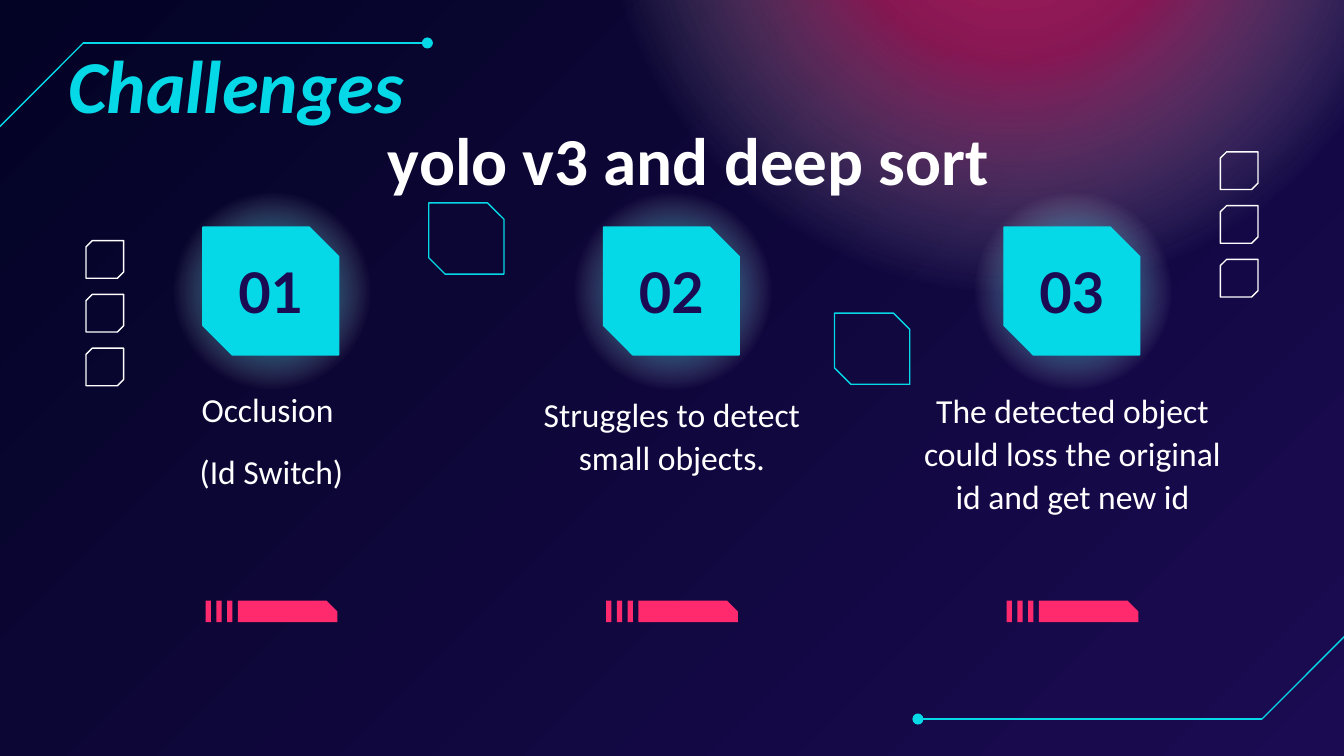
"""Build the "Challenges" slide and save it to out.pptx."""
from dataclasses import dataclass
from typing import Any, Optional

import lxml.etree
import pptx
import pptx.dml.color
import pptx.enum.shapes
import pptx.enum.text
import pptx.oxml
import pptx.oxml.ns
import pptx.util

Inches = pptx.util.Inches
Pt = pptx.util.Pt
RGBColor = pptx.dml.color.RGBColor
Kind = pptx.enum.shapes.MSO_SHAPE
Anchor = pptx.enum.text.MSO_ANCHOR
qn = pptx.oxml.ns.qn

NIGHT = RGBColor(0x03, 0x03, 0x25)
INDIGO = RGBColor(0x1B, 0x0B, 0x52)
CYAN = RGBColor(0x05, 0xD8, 0xE7)
PINK = RGBColor(0xFF, 0x29, 0x6D)
WHITE = RGBColor(0xFF, 0xFF, 0xFF)

STEP = 2.98
NUMBER = {"name": "Lato", "size": Pt(30), "bold": True}
HEAD = {"name": "Calibri", "size": Pt(40), "bold": True, "italic": True}
TITLE = {"name": "Calibri", "size": Pt(36), "bold": True}
BODY = {"name": "Calibri", "size": Pt(18)}


@dataclass
class Box:
    left: float
    top: float
    width: float
    height: float

    def emu(self) -> list[int]:
        return [Inches(v) for v in (self.left, self.top, self.width, self.height)]


@dataclass
class Item:
    label: str
    lines: list[str]
    top: float
    height: float
    space: Optional[float] = None


ITEMS = [
    Item("01", ["Occlusion ", "(Id Switch)"], 2.79, 1.52),
    Item("02", ["Struggles to detect small objects."], 2.81, 1.47, 1.07),
    Item("03", ["The detected object could loss the original id and get new id"],
         2.78, 1.51, 1.07),
]


def shape(group: Any, kind: Any, box: Box, fill: Optional[RGBColor] = None,
          line: Optional[RGBColor] = None, cuts: tuple = ()) -> Any:
    """Add a preset shape with a plain fill and outline."""
    item = group.add_shape(kind, *box.emu())
    item.shadow.inherit = False
    if fill is None:
        item.fill.background()
    else:
        item.fill.solid()
        item.fill.fore_color.rgb = fill
    if line is None:
        item.line.fill.background()
    else:
        item.line.color.rgb = line
        item.line.width = Pt(0.75)
    for i, cut in enumerate(cuts):
        item.adjustments[i] = cut
    return item


def glow(group: Any, box: Box, color: RGBColor, core: int, mid: int) -> None:
    """Add a circle that fades out from its centre."""
    disc = shape(group, Kind.OVAL, box)
    stops = "".join(
        f'<a:gs pos="{pos * 1000}"><a:srgbClr val="{tint}">'
        f'<a:alpha val="{alpha * 1000}"/></a:srgbClr></a:gs>'
        for pos, tint, alpha in
        ((0, color, core), (30, color, mid), (69, WHITE, 0), (100, WHITE, 0)))
    fade = pptx.oxml.parse_xml(
        f'<a:gradFill {pptx.oxml.ns.nsdecls("a")} rotWithShape="1">'
        f'<a:gsLst>{stops}</a:gsLst><a:path path="circle">'
        '<a:fillToRect l="50000" t="50000" r="50000" b="50000"/></a:path></a:gradFill>')
    props = disc.element.spPr
    props.replace(props.find(qn("a:noFill")), fade)


def trace(shapes: Any, points: list[tuple[float, float]]) -> None:
    """Add a grouped run of lines that ends in a dot."""
    group = shapes.add_group_shape().shapes
    for start, end in zip(points, points[1:]):
        link = group.add_connector(pptx.enum.shapes.MSO_CONNECTOR.STRAIGHT,
                                   *map(Inches, start + end))
        link.line.color.rgb = CYAN
        link.line.width = Pt(0.75)
        props = link.element.spPr
        if end == points[-1]:
            lxml.etree.SubElement(props.find(qn("a:ln")), qn("a:tailEnd"), type="oval")
        lxml.etree.SubElement(props, qn("a:effectLst"))


def text(shapes: Any, box: Box, lines: list[str], style: dict, color: RGBColor,
         anchor: Any = Anchor.TOP, space: Optional[float] = None) -> Any:
    """Add a centred text box and return its frame."""
    frame = shapes.add_textbox(*box.emu()).text_frame
    format = {"word_wrap": True, "vertical_anchor": anchor}
    format |= {f"margin_{side}": Inches(0.1) for side in ("left", "top", "right", "bottom")}
    for name, value in format.items():
        setattr(frame, name, value)
    for i, line in enumerate(lines):
        para = frame.add_paragraph() if i else frame.paragraphs[0]
        para.alignment = pptx.enum.text.PP_ALIGN.CENTER
        if space:
            para.line_spacing = space
        if i:
            para.space_before = para.space_after = Pt(12)
        run = para.add_run()
        run.text = line
        run.font.color.rgb = color
        for name, value in style.items():
            setattr(run.font, name, value)
    return frame


def bar(shapes: Any, left: float) -> None:
    """Add a snipped bar led by three ticks."""
    group = shapes.add_group_shape().shapes
    shape(group, Kind.SNIP_1_RECTANGLE, Box(left + 0.24, 4.47, 0.74, 0.16), PINK, cuts=(0.5,))
    for i in range(3):
        shape(group, Kind.RECTANGLE, Box(left + 0.08 * i, 4.47, 0.04, 0.16), PINK)


def stack(shapes: Any, left: float, top: float) -> None:
    """Add a column of three hollow squares."""
    group = shapes.add_group_shape().shapes
    for i in range(3):
        tile = shape(group, Kind.SNIP_2_DIAG_RECTANGLE,
                     Box(left, top + 0.4 * i, 0.28, 0.28), line=WHITE, cuts=(0, 0.167))
        tile.rotation = 90


def main() -> None:
    """Draw the slide."""
    deck = pptx.Presentation()
    deck.slide_width = Inches(10)
    deck.slide_height = deck.slide_width * 9 // 16
    slide = deck.slides.add_slide(deck.slide_layouts[6])
    shapes = slide.shapes

    back = slide.background.fill
    back.gradient()
    back.gradient_angle = 315
    for stop, color, place in zip(back.gradient_stops, (NIGHT, INDIGO), (0, 1)):
        stop.color.rgb = color
        stop.position = place

    glow(shapes, Box(4.41, -3.99, 6.25, 6.25), PINK, 66, 49)
    trace(shapes, [(-0.01, 0.95), (0.62, 0.32), (3.18, 0.32)])
    trace(shapes, [(10.02, 4.72), (9.39, 5.35), (6.83, 5.35)])

    for i, item in enumerate(ITEMS):
        left = 1.27 + STEP * i
        glow(shapes, Box(left, 1.41, 1.51, 1.51), CYAN, 70, 47)
        shape(shapes, Kind.SNIP_2_DIAG_RECTANGLE, Box(left + 0.24, 1.69, 1.01, 0.95),
              CYAN, CYAN, (0, 0.23))
        text(shapes, Box(left + 0.32, 1.9, 0.85, 0.53), [item.label], NUMBER, INDIGO,
             Anchor.MIDDLE)
        text(shapes, Box(left - 0.49, item.top, 2.48, item.height), item.lines, BODY, WHITE,
             space=item.space)
        bar(shapes, left + 0.26)

    for left, top in ((3.19, 1.51), (6.21, 2.33)):
        shape(shapes, Kind.SNIP_2_DIAG_RECTANGLE, Box(left, top, 0.56, 0.53),
              line=CYAN, cuts=(0, 0.23))
    stack(shapes, 9.08, 1.13)
    stack(shapes, 0.64, 1.79)

    text(shapes, Box(1.2, 0.78, 7.85, 0.81), ["yolo v3 and deep sort"], TITLE, WHITE)
    head = text(shapes, Box(-0.76, 0.19, 4.91, 0.88), ["Challenges"], HEAD, CYAN)
    props = head.paragraphs[0]._p.get_or_add_pPr()
    for name, value in {"marL": 0.5, "indent": -0.38}.items():
        props.set(name, str(Inches(value)))

    deck.save("out.pptx")


if __name__ == "__main__":
    main()
